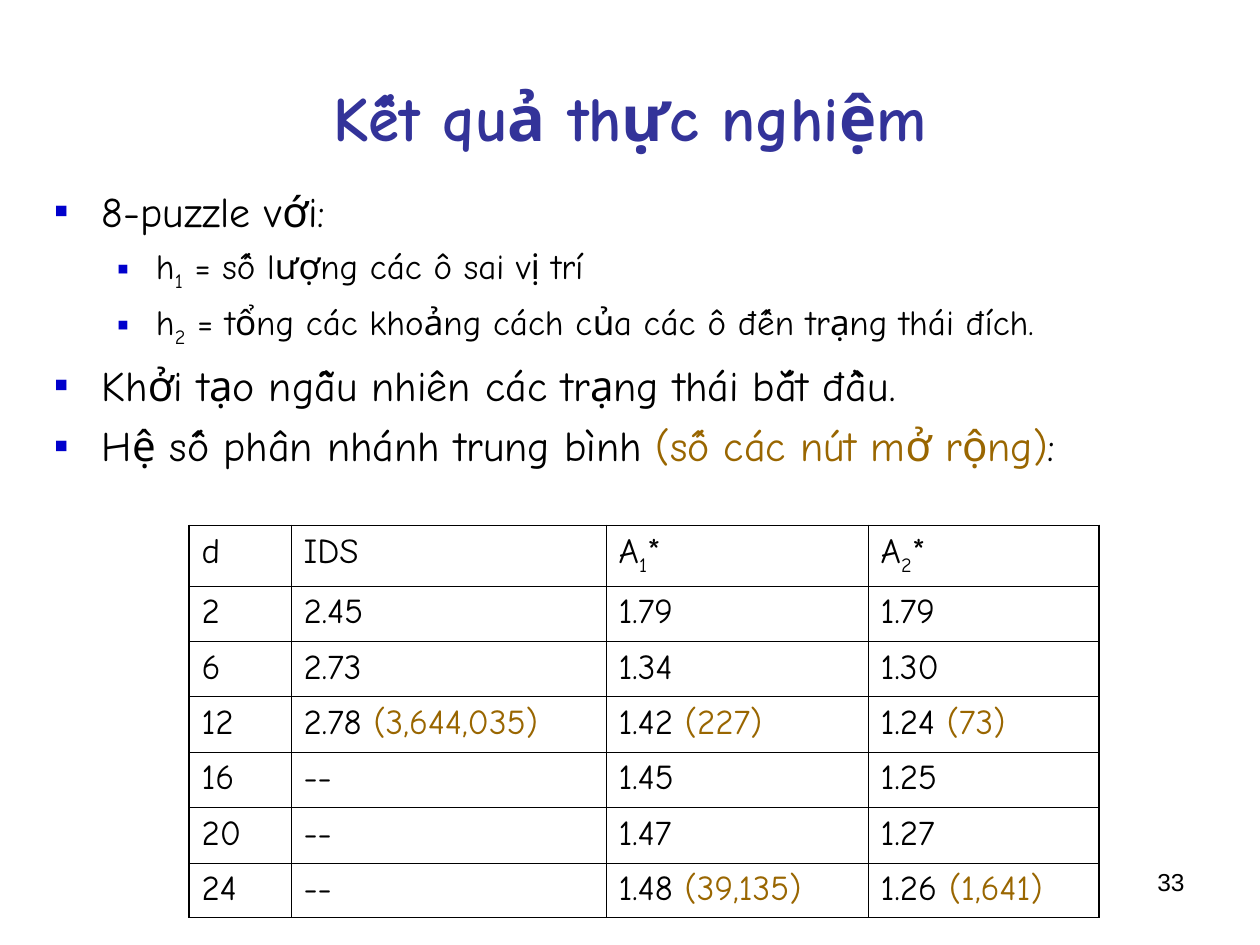
from dataclasses import dataclass

from lxml import etree
from pptx import Presentation
from pptx.dml.color import RGBColor
from pptx.enum.text import MSO_ANCHOR, PP_ALIGN
from pptx.oxml.ns import qn
from pptx.util import Inches, Pt

CENTER, RIGHT = PP_ALIGN.CENTER, PP_ALIGN.RIGHT
TOP, MIDDLE = MSO_ANCHOR.TOP, MSO_ANCHOR.MIDDLE
PLAIN, SUBSCRIPT, ACCENT = "plain", "subscript", "accent"


@dataclass(frozen=True)
class Theme:
    font: str = "Comic Neue"
    number_font: str = "Arial"
    text: str = "000000"
    title: str = "333399"
    bullet: str = "0000CC"
    accent: str = "996600"
    title_size: float = 36
    body_size: float = 24
    detail_size: float = 20
    number_size: float = 14
    inner_border: float = 0.45
    outer_border: float = 1.08


THEME = Theme()

BULLETS = [
    (0, [("8-puzzle với:", PLAIN)]),
    (1, [("h", PLAIN), ("1", SUBSCRIPT), (" = số lượng các ô sai vị trí", PLAIN)]),
    (1, [("h", PLAIN), ("2", SUBSCRIPT),
         (" = tổng các khoảng cách của các ô đến trạng thái đích.", PLAIN)]),
    (0, [("Khởi tạo ngẫu nhiên các trạng thái bắt đầu.", PLAIN)]),
    (0, [("Hệ số phân nhánh trung bình ", PLAIN),
         ("(số các nút mở rộng)", ACCENT), (":", PLAIN)]),
]

HEADERS = [
    [("d", PLAIN)],
    [("IDS", PLAIN)],
    [("A", PLAIN), ("1", SUBSCRIPT), ("*", PLAIN)],
    [("A", PLAIN), ("2", SUBSCRIPT), ("*", PLAIN)],
]

RESULTS = [
    ("2", "2.45", "1.79", "1.79"),
    ("6", "2.73", "1.34", "1.30"),
    ("12", "2.78 (3,644,035)", "1.42 (227)", "1.24 (73)"),
    ("16", "--", "1.45", "1.25"),
    ("20", "--", "1.47", "1.27"),
    ("24", "--", "1.48 (39,135)", "1.26 (1,641)"),
]

COLUMN_WIDTHS = [0.81, 2.5, 2.08, 1.83]
ROW_HEIGHTS = [0.48] + [0.44] * 5 + [0.43]


def add_runs(paragraph, parts, size, color=THEME.text, font=THEME.font, bold=False):
    for text, style in parts:
        run = paragraph.add_run()
        run.text = text
        run.font.name = font
        run.font.size = Pt(size)
        run.font.bold = bold
        run.font.color.rgb = RGBColor.from_string(
            THEME.accent if style == ACCENT else color)
        if style == SUBSCRIPT:
            run.font._element.set("baseline", "-25000")


def add_text_box(slide, left, top, width, height, anchor=TOP):
    shape = slide.shapes.add_textbox(
        Inches(left), Inches(top), Inches(width), Inches(height))
    text_frame = shape.text_frame
    text_frame.word_wrap = True
    text_frame.vertical_anchor = anchor
    return text_frame


def set_bullet(paragraph, margin, hanging):
    properties = paragraph._p.get_or_add_pPr()
    properties.set("marL", str(Inches(margin)))
    properties.set("indent", str(-Inches(hanging)))
    color = etree.SubElement(properties, qn("a:buClr"))
    etree.SubElement(color, qn("a:srgbClr"), val=THEME.bullet)
    etree.SubElement(properties, qn("a:buFont"), typeface=THEME.number_font)
    etree.SubElement(properties, qn("a:buChar"), char="▪")


def add_bullets(slide):
    text_frame = add_text_box(slide, 0.33, 1.42, 9.33, 5.93)
    for index, (level, parts) in enumerate(BULLETS):
        paragraph = text_frame.add_paragraph() if index else text_frame.paragraphs[0]
        paragraph.level = level
        if level:
            set_bullet(paragraph, 0.81, 0.31)
            size, space = THEME.detail_size, 5
        else:
            set_bullet(paragraph, 0.38, 0.38)
            size, space = THEME.body_size, 6
        if index:
            paragraph.space_before = Pt(space)
        add_runs(paragraph, parts, size)


def set_borders(cell, outer_sides):
    properties = cell._tc.get_or_add_tcPr()
    for side in "LRTB":
        width = THEME.outer_border if side in outer_sides else THEME.inner_border
        line = etree.SubElement(properties, qn(f"a:ln{side}"), w=str(Pt(width)))
        fill = etree.SubElement(line, qn("a:solidFill"))
        etree.SubElement(fill, qn("a:srgbClr"), val=THEME.text)


def split_count(value):
    number, bracket, count = value.partition("(")
    parts = [(number, PLAIN)]
    if bracket:
        parts.append((bracket + count, ACCENT))
    return parts


def add_results_table(slide):
    rows = [HEADERS] + [[split_count(value) for value in row] for row in RESULTS]
    last_row, last_column = len(rows) - 1, len(HEADERS) - 1
    table = slide.shapes.add_table(
        len(rows), len(HEADERS), Inches(1.5), Inches(4.17),
        Inches(sum(COLUMN_WIDTHS)), Inches(sum(ROW_HEIGHTS))).table
    table.first_row = False
    table.horz_banding = False
    for column, width in zip(table.columns, COLUMN_WIDTHS):
        column.width = Inches(width)
    for row, height in zip(table.rows, ROW_HEIGHTS):
        row.height = Inches(height)
    for row_index, row in enumerate(rows):
        for column_index, parts in enumerate(row):
            cell = table.cell(row_index, column_index)
            edges = {"L": column_index == 0, "R": column_index == last_column,
                     "T": row_index == 0, "B": row_index == last_row}
            set_borders(cell, [side for side, outer in edges.items() if outer])
            cell.fill.background()
            add_runs(cell.text_frame.paragraphs[0], parts, THEME.detail_size)


def add_title(slide):
    paragraph = add_text_box(slide, 0.5, 0.3, 9, 1.25, MIDDLE).paragraphs[0]
    paragraph.alignment = CENTER
    add_runs(paragraph, [("Kết quả thực nghiệm", PLAIN)],
             THEME.title_size, THEME.title, bold=True)


def add_slide_number(slide):
    paragraph = add_text_box(slide, 7.17, 6.83, 2.33, 0.52).paragraphs[0]
    paragraph.alignment = RIGHT
    add_runs(paragraph, [("33", PLAIN)], THEME.number_size, font=THEME.number_font)


def main():
    presentation = Presentation()
    presentation.slide_width = Inches(10)
    presentation.slide_height = Inches(7.5)
    slide = presentation.slides.add_slide(presentation.slide_layouts[6])
    add_slide_number(slide)
    add_title(slide)
    add_bullets(slide)
    add_results_table(slide)
    presentation.save("out.pptx")


if __name__ == "__main__":
    main()
